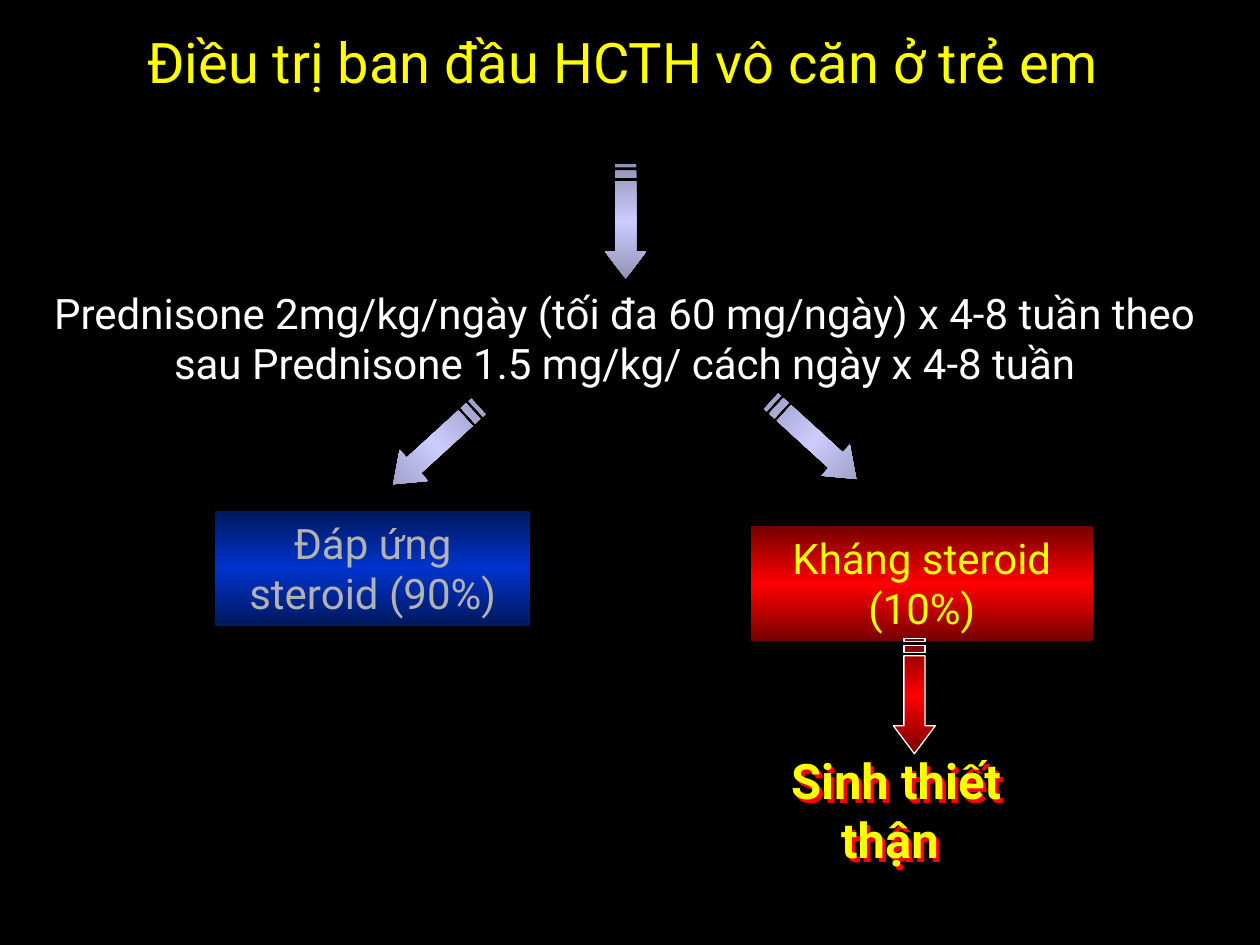
from lxml.etree import SubElement
from copy import deepcopy
from pptx import Presentation
from pptx.dml.color import RGBColor
from pptx.enum.shapes import MSO_SHAPE
from pptx.enum.text import MSO_ANCHOR, MSO_AUTO_SIZE, PP_ALIGN
from pptx.oxml.ns import qn
from pptx.util import Pt

BLACK = RGBColor(0, 0, 0)
WHITE = RGBColor(255, 255, 255)
YELLOW = RGBColor(255, 255, 0)
GREY = RGBColor(0xB2, 0xB2, 0xB2)
RED = RGBColor(255, 0, 0)
MAROON = RGBColor(0x76, 0, 0)
BLUE = RGBColor(0, 0x33, 0xCC)
NAVY = RGBColor(0, 0x18, 0x5E)
LILAC = RGBColor(0xCC, 0xCC, 0xFF)
MAUVE = RGBColor(0x92, 0x92, 0xB6)

# Arrow outline, pointing right: two stripes, then shaft and head
STRIPES = (
    ((0, 6), (2, 6), (2, 18), (0, 18)),
    ((4, 6), (8, 6), (8, 18), (4, 18)),
)
HEAD = ((10, 6), (49.5, 6), (49.5, 0), (66, 12), (49.5, 24), (49.5, 18), (10, 18))


def write(shape, text, size=24, color=WHITE, bold=False):
    frame = shape.text_frame
    frame.word_wrap = True
    frame.auto_size = MSO_AUTO_SIZE.NONE
    frame.vertical_anchor = MSO_ANCHOR.TOP
    para = frame.paragraphs[0]
    para.alignment = PP_ALIGN.CENTER
    run = para.add_run()
    run.text = text
    run.font.name = "Roboto"
    run.font.size = Pt(size)
    run.font.bold = bold
    run.font.color.rgb = color


def shade(shape, edge, core, angle):
    """Fill with a gradient that is bright in the middle."""
    shape.shadow.inherit = False
    shape.line.fill.background()
    fill = shape.fill
    fill.gradient()
    fill.gradient_angle = angle
    first, last = fill.gradient_stops
    first.color.rgb = last.color.rgb = edge
    stops = shape._element.spPr.find(qn("a:gradFill")).find(qn("a:gsLst"))
    stops.insert(1, deepcopy(stops[0]))
    mid = fill.gradient_stops[1]
    mid.position = 0.5
    mid.color.rgb = core


deck = Presentation()
deck.slide_width, deck.slide_height = Pt(720), Pt(540)
slide = deck.slides.add_slide(deck.slide_layouts[5])
slide.background.fill.solid()
slide.background.fill.fore_color.rgb = BLACK
shapes = slide.shapes

# Title
title = shapes.title
title.left, title.top, title.width, title.height = Pt(24.25), Pt(12), Pt(672), Pt(46)
write(title, "Điều trị ban đầu HCTH vô căn ở trẻ em ", size=32, color=YELLOW)

# First treatment
dose = shapes.add_textbox(Pt(18), Pt(160.75), Pt(678), Pt(65.5))
write(dose, "Prednisone 2mg/kg/ngày (tối đa 60 mg/ngày) x 4-8 tuần theo "
      "sau Prednisone 1.5 mg/kg/ cách ngày x 4-8 tuần")

# Two outcomes
for text, left, top, width, color, edge, core in (
    ("Đáp ứng steroid (90%)", 123, 292, 180, GREY, NAVY, BLUE),
    ("Kháng steroid (10%)", 429, 300.75, 195.5, YELLOW, MAROON, RED),
):
    box = shapes.add_shape(MSO_SHAPE.RECTANGLE, Pt(left), Pt(top), Pt(width), Pt(65.5))
    shade(box, edge, core, 90)
    write(box, text, color=color)

# Biopsy, with a red shadow behind the letters
biopsy = shapes.add_textbox(Pt(438), Pt(425.5), Pt(148), Pt(108.5))
write(biopsy, "Sinh thiết thận ", size=28, color=YELLOW, bold=True)
effects = SubElement(biopsy._element.spPr, qn("a:effectLst"))
shadow = SubElement(effects, qn("a:outerShdw"), dist=str(Pt(2.8)), dir="2700000",
                    algn="ctr", rotWithShape="0")
SubElement(shadow, qn("a:srgbClr"), val=str(RED))

# Striped arrows, turned from pointing right
for left, top, turn, edge, core in (
    (489.5, 385.75, 90, MAROON, RED),
    (324.5, 114.5, 90, MAUVE, LILAC),
    (216, 242.5, 137.6, MAUVE, LILAC),
    (432, 239.5, 42.4, MAUVE, LILAC),
):
    pen = shapes.build_freeform(*HEAD[0], scale=Pt(1))
    pen.add_line_segments(HEAD[1:], close=True)
    for stripe in STRIPES:
        pen.move_to(*stripe[0])
        pen.add_line_segments(stripe[1:], close=True)
    arrow = pen.convert_to_shape(Pt(left), Pt(top))
    arrow.rotation = turn
    shade(arrow, edge, core, 0)
    if core == RED:
        arrow.line.color.rgb = WHITE
        arrow.line.width = Pt(0.75)

deck.save("out.pptx")
